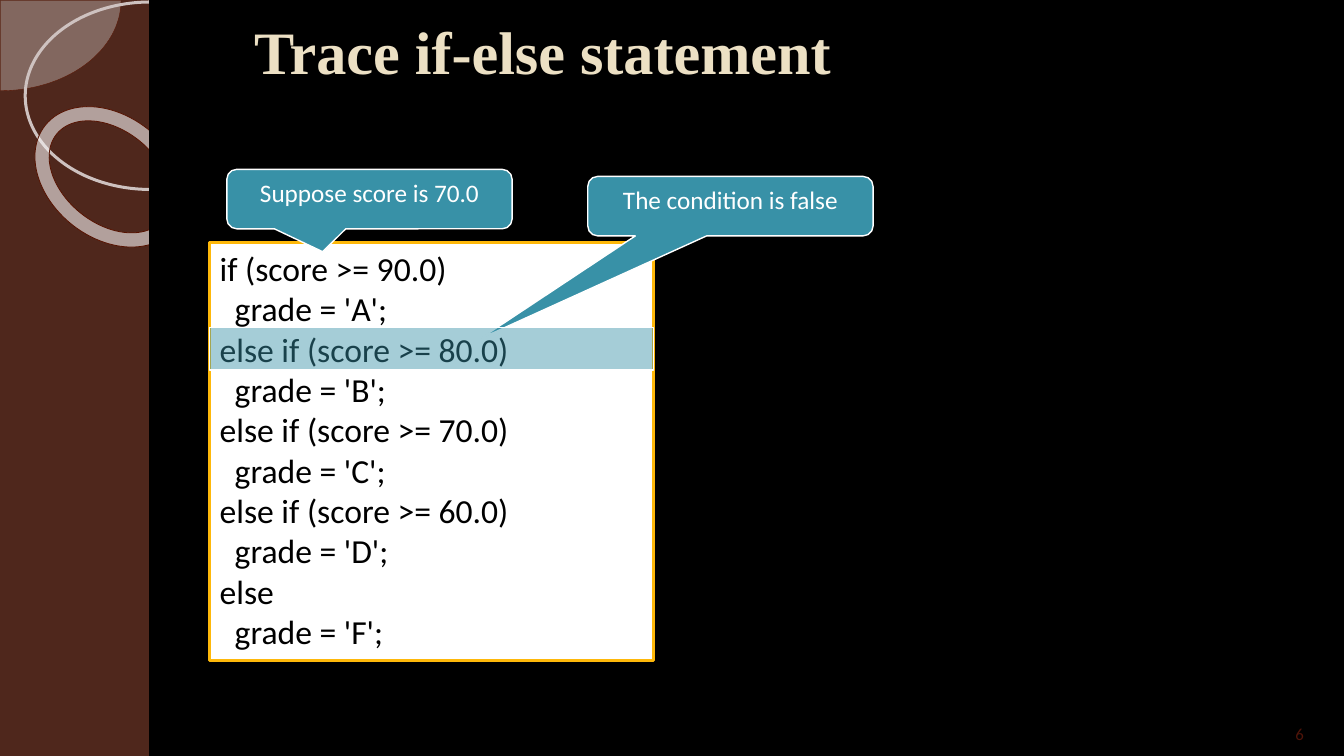
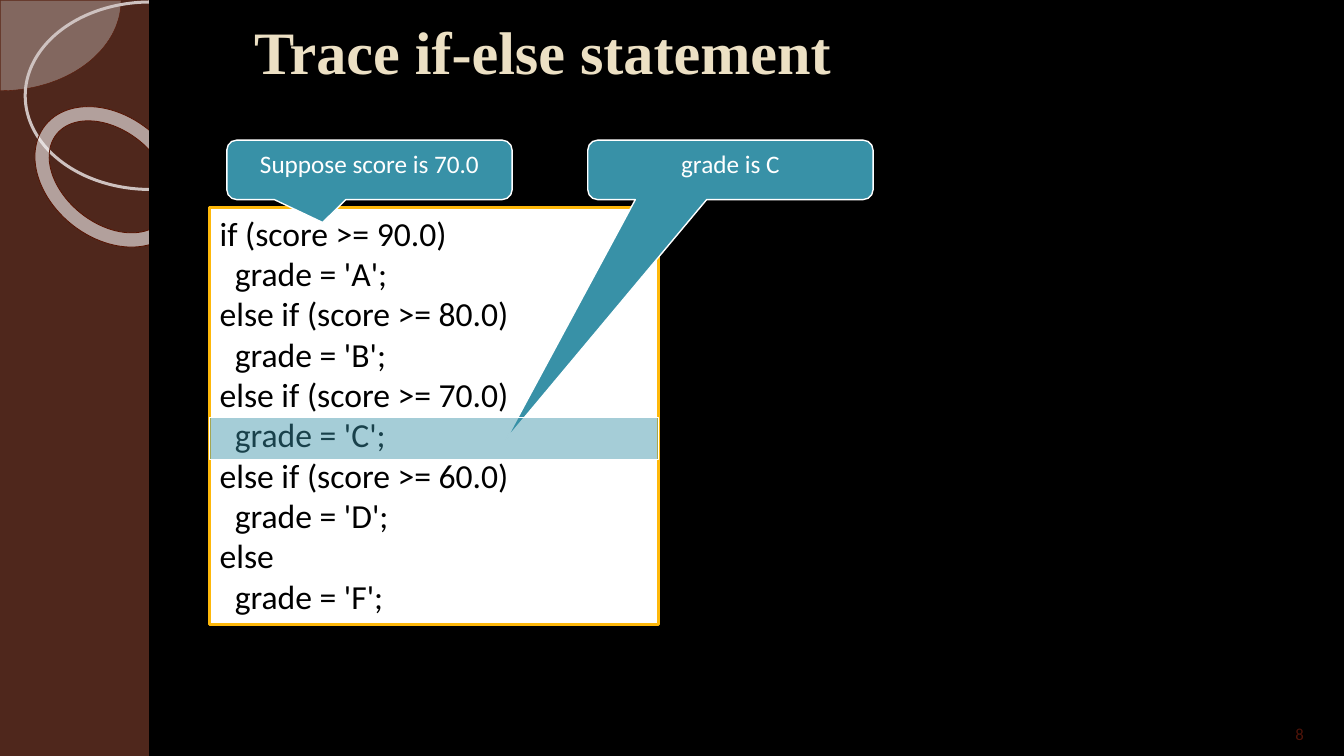
"""Build the two trace slides for the if-else statement."""
from lxml.etree import SubElement
from pptx import Presentation
from pptx.dml.color import RGBColor
from pptx.enum.shapes import MSO_SHAPE
from pptx.enum.text import MSO_ANCHOR, MSO_AUTO_SIZE, PP_ALIGN
from pptx.oxml.ns import qn
from pptx.util import Inches, Pt

WHITE, BLACK, TEAL = "FFFFFF", "000000", "3891A7"
BROWN, CREAM, GOLD, NUMBER = "4F271C", "ECE0C4", "FEB80A", "4F1409"
BODY, HEADING = "Calibri", "Times New Roman"
GRADES = [("if (score >= 90.0)", "A"), ("else if (score >= 80.0)", "B"),
          ("else if (score >= 70.0)", "C"), ("else if (score >= 60.0)", "D"),
          ("else", "F")]


def rgb(value):
    return RGBColor.from_string(value)


class Deck:
    def __init__(self):
        self.prs = Presentation()
        self.prs.slide_width, self.prs.slide_height = Inches(13.33), Inches(7.5)

    def shape(self, kind, at, fill=None, alpha=100, line=None, width=1, adj=()):
        sp = self.s.shapes.add_shape(kind, *map(Inches, at))
        sp.shadow.inherit = False
        for i, value in enumerate(adj):
            sp.adjustments[i] = value
        if fill:
            sp.fill.solid()
            sp.fill.fore_color.rgb = rgb(fill)
            if alpha < 100:
                color = sp.fill._xPr.find(qn("a:solidFill"))[0]
                SubElement(color, qn("a:alpha"), val=str(alpha * 1000))
        else:
            sp.fill.background()
        if line:
            sp.line.color.rgb = rgb(line)
            sp.line.width = Pt(width)
        else:
            sp.line.fill.background()
        return sp

    def style(self, p, size, color, font=BODY, align=PP_ALIGN.LEFT, bold=False):
        p.alignment = align
        p.font.name, p.font.size, p.font.bold = font, Pt(size), bold
        p.font.color.rgb = rgb(color)

    def slide(self, title, number):
        self.s = self.prs.slides.add_slide(self.prs.slide_layouts[5])
        self.s.background.fill.solid()
        self.s.background.fill.fore_color.rgb = rgb(BROWN)
        self.shape(MSO_SHAPE.PIE, (-1.19, -0.89, 2.39, 1.79), "ECEAE9", 33,
                   "591502", 0.25, (0, 54))
        self.shape(MSO_SHAPE.OVAL, (0.25, 0.02, 2.48, 1.86), line="CEC2C0", width=2.15)
        ring = self.shape(MSO_SHAPE.DONUT, (0.27, 1.15, 1.64, 1.21), "F4F2F2", 60,
                          "561200", 0.58, (0.118,))
        ring.rotation = 38.6
        for width in (11.86, 0.11):
            self.shape(MSO_SHAPE.RECTANGLE, (1.48, 0, width, 7.5), BLACK)
        self.title(title)
        self.number(number)

    def title(self, text):
        sp = self.s.shapes.title
        self.s.shapes._spTree.append(sp._element)
        sp.left, sp.top, sp.width, sp.height = map(Inches, (2.42, 0, 8.75, 1))
        tf = sp.text_frame
        tf.text = text
        tf.auto_size, tf.vertical_anchor = MSO_AUTO_SIZE.NONE, MSO_ANCHOR.MIDDLE
        self.style(tf.paragraphs[0], 43, CREAM, HEADING, bold=True)

    def number(self, value):
        sp = self.s.shapes.add_textbox(*map(Inches, (12.23, 7.08, 0.8, 0.4)))
        tf = sp.text_frame
        tf.word_wrap, tf.vertical_anchor = True, MSO_ANCHOR.MIDDLE
        tf.text = str(value)
        self.style(tf.paragraphs[0], 12, NUMBER, align=PP_ALIGN.RIGHT)

    def code(self, top, width):
        sp = self.shape(MSO_SHAPE.RECTANGLE, (2.08, top, width, 4.14), WHITE,
                        line=GOLD, width=2)
        tf = sp.text_frame
        tf.vertical_anchor = MSO_ANCHOR.TOP
        tf.text = "\n".join(f"{test}\ngrade = '{grade}';" for test, grade in GRADES)
        for i, p in enumerate(tf.paragraphs):
            self.style(p, 24, BLACK)
            if i % 2:
                p._p.get_or_add_pPr().set("marL", str(Inches(0.15)))

    def callout(self, text, left, top, tip):
        sp = self.shape(MSO_SHAPE.ROUNDED_RECTANGULAR_CALLOUT, (left, top, 2.83, 0.59),
                        TEAL, line=WHITE, adj=(*tip, 0.167))
        tf = sp.text_frame
        tf.text, tf.vertical_anchor = text, MSO_ANCHOR.TOP
        self.style(tf.paragraphs[0], 18, WHITE, align=PP_ALIGN.CENTER)

    def highlight(self, top, width):
        self.shape(MSO_SHAPE.RECTANGLE, (2.08, top, width, 0.42), TEAL, 45, WHITE)

    def trace(self, number, code_top, width, score_top, note, note_top, tip, mark_top):
        self.slide("Trace if-else statement", number)
        self.code(code_top, width)
        self.callout("Suppose score is 70.0", 2.25, score_top, (-0.164, 0.885))
        self.callout(note, 5.83, note_top, tip)
        self.highlight(mark_top, width)


deck = Deck()
deck.trace(6, 2.41, 4.4, 1.68, "The condition is false", 1.75, (-0.877, 2.228), 3.25)
deck.trace(8, 2.06, 4.45, 1.39, "grade is C", 1.39, (-0.787, 4.536), 4.14)
deck.prs.save("out.pptx")
